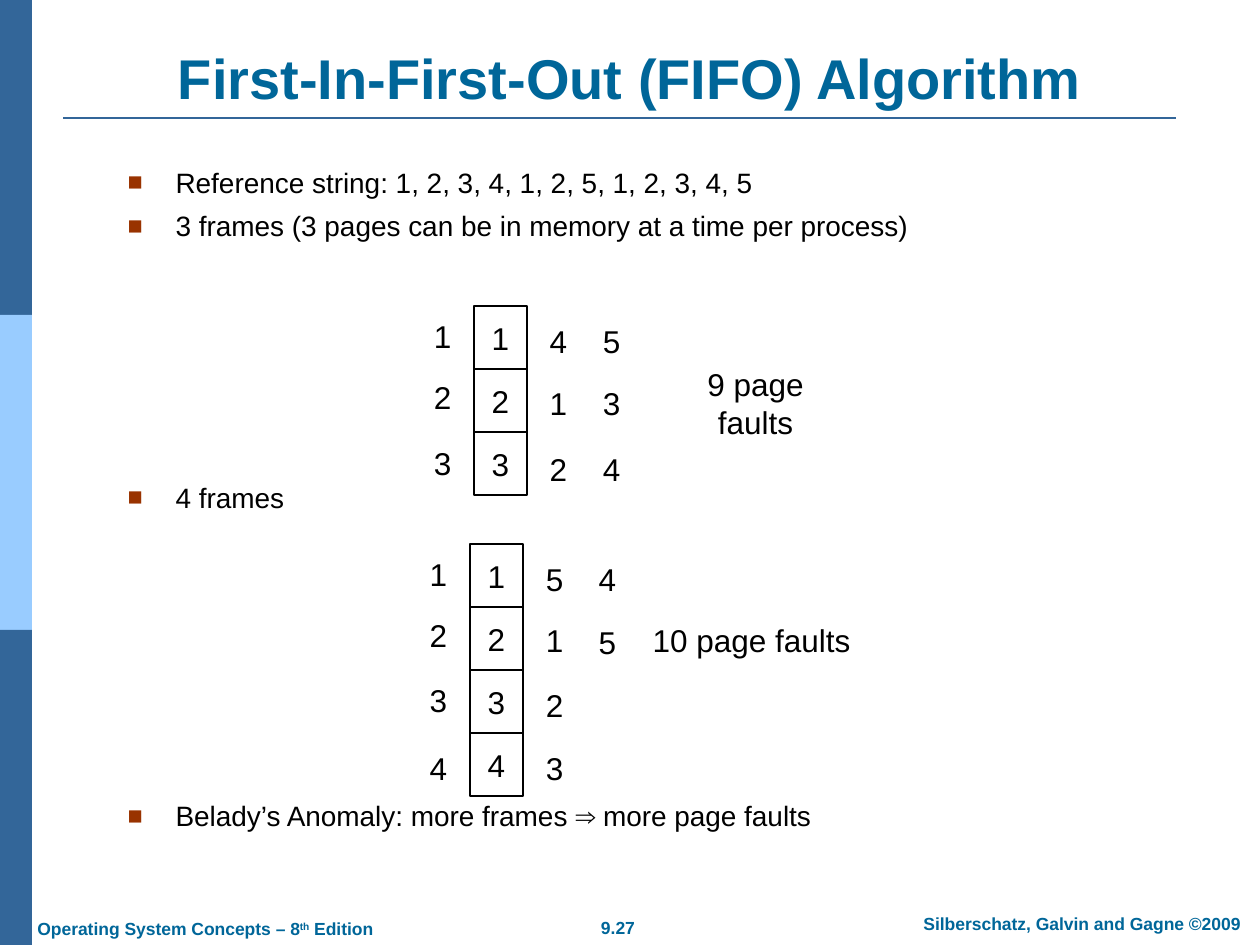
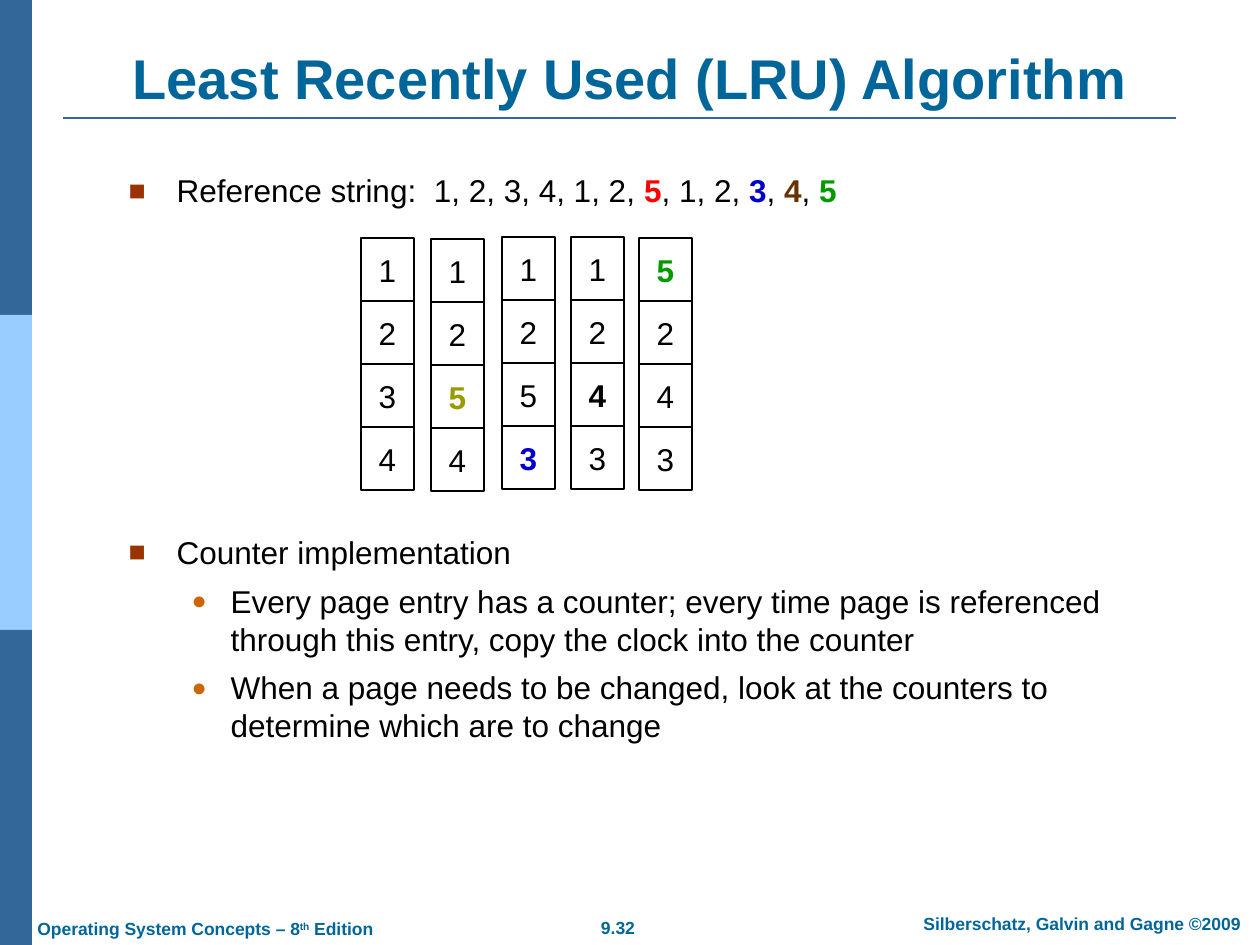
from lxml.etree import SubElement
from pptx import Presentation
from pptx.dml.color import RGBColor
from pptx.enum.shapes import MSO_CONNECTOR, MSO_SHAPE
from pptx.enum.text import MSO_ANCHOR, MSO_AUTO_SIZE, PP_ALIGN
from pptx.oxml.ns import qn
from pptx.util import Emu, Pt

FONT = "Arial"
BLACK = RGBColor(0x00, 0x00, 0x00)
WHITE = RGBColor(0xFF, 0xFF, 0xFF)
STEEL = RGBColor(0x33, 0x66, 0x99)
SKY = RGBColor(0x99, 0xCC, 0xFF)
TEAL = RGBColor(0x00, 0x66, 0x99)
RUST = RGBColor(0x99, 0x33, 0x00)
AMBER = RGBColor(0xCC, 0x66, 0x00)
RED = RGBColor(0xFF, 0x00, 0x00)
BLUE = RGBColor(0x00, 0x00, 0xCC)
BROWN = RGBColor(0x66, 0x33, 0x00)
GREEN = RGBColor(0x00, 0x99, 0x00)
OLIVE = RGBColor(0x99, 0x99, 0x00)

WIDTH, HEIGHT = 1260, 945
CELL_W, CELL_H = 53, 63
NOTE_W, NOTE_H = 43, 50
LEADING = 1.2

# Bullet styles by level: sign, colour, size in percent, left margin, hanging
BULLETS = [("■", RUST, 90, 48, 48), ("●", AMBER, 80, 102, 39)]


def px(n):
    return Emu(round(n * 914400 / 126))


def place(shape, left, top, width, height):
    shape.left, shape.top = px(left), px(top)
    shape.width, shape.height = px(width), px(height)


# Text
def write(para, text, size=18, color=BLACK, bold=False, align=PP_ALIGN.LEFT,
          before=0):
    """Fill a paragraph; text is a string or a list of (string, format) runs."""
    para.alignment = align
    para.line_spacing = Pt(size * LEADING)
    para.space_before = px(before)
    runs = [(text, {})] if isinstance(text, str) else text
    for words, look in runs:
        run = para.add_run()
        run.text = words
        font = run.font
        font.name, font.size = FONT, Pt(size)
        font.bold = look.get("bold", bold)
        font.color.rgb = look.get("color", color)
        if look.get("raised"):
            run._r.get_or_add_rPr().set("baseline", "30000")


def mark(para, level):
    """Give a paragraph the bullet and indent of its level."""
    sign, color, size, margin, hang = BULLETS[level]
    para.level = level
    props = para._p.get_or_add_pPr()
    props.set("marL", str(px(margin)))
    props.set("indent", str(-px(hang)))
    tint = SubElement(props, qn("a:buClr"))
    SubElement(tint, qn("a:srgbClr")).set("val", str(color))
    SubElement(props, qn("a:buSzPct")).set("val", str(size * 1000))
    SubElement(props, qn("a:buFont")).set("typeface", FONT)
    SubElement(props, qn("a:buChar")).set("char", sign)


def label(slide, text, left, top, width, height=NOTE_H, anchor=MSO_ANCHOR.MIDDLE,
          align=PP_ALIGN.CENTER, **look):
    box = slide.shapes.add_textbox(px(left), px(top), px(width), px(height))
    frame = box.text_frame
    frame.word_wrap = False
    frame.vertical_anchor = anchor
    write(frame.paragraphs[0], text, align=align, **look)


def list_body(slide, area, items, size):
    """Items are (text, level, space before)."""
    body = slide.placeholders[1]
    place(body, *area)
    frame = body.text_frame
    frame.auto_size = MSO_AUTO_SIZE.NONE
    for i, (text, level, before) in enumerate(items):
        para = frame.add_paragraph() if i else frame.paragraphs[0]
        mark(para, level)
        write(para, text, size=size, before=before)


# Shapes
def box(slide, left, top, width, height, fill, line=None):
    shape = slide.shapes.add_shape(
        MSO_SHAPE.RECTANGLE, px(left), px(top), px(width), px(height))
    shape.shadow.inherit = False
    shape.fill.solid()
    shape.fill.fore_color.rgb = fill
    if line is None:
        shape.line.fill.background()
    else:
        shape.line.color.rgb = line
        shape.line.width = Pt(0.75)
    return shape


def stack(slide, left, top, pages):
    """A column of memory frames; a page is a digit or (digit, format)."""
    for row, page in enumerate(pages):
        cell = box(slide, left, top + row * CELL_H, CELL_W, CELL_H, WHITE, BLACK)
        frame = cell.text_frame
        frame.word_wrap = False
        frame.vertical_anchor = MSO_ANCHOR.MIDDLE
        digit, look = (page, {}) if isinstance(page, str) else page
        write(frame.paragraphs[0], digit, align=PP_ALIGN.CENTER, **look)


def notes(slide, left, tops, digits):
    """Loose digits beside a stack."""
    for top, digit in zip(tops, digits):
        label(slide, digit, left, top, NOTE_W)


# Shared slide furniture
def new_slide(deck, title, number):
    slide = deck.slides.add_slide(deck.slide_layouts[1])
    for i, color in enumerate((STEEL, SKY, STEEL)):
        box(slide, 0, i * HEIGHT // 3, 32, HEIGHT // 3, color)
    rule = slide.shapes.add_connector(
        MSO_CONNECTOR.STRAIGHT, px(63), px(118), px(1176), px(118))
    rule.line.color.rgb = STEEL
    rule.line.width = Pt(1.5)
    SubElement(rule._element.spPr, qn("a:effectLst"))

    foot = dict(height=34, anchor=MSO_ANCHOR.TOP, size=10, color=TEAL, bold=True)
    label(slide, number, 587, 911, 62, **foot)
    label(slide, "Silberschatz, Galvin and Gagne ©2009", 895, 907, 374, **foot)
    book = [("Operating System Concepts – 8", {}), ("th", {"raised": True}),
            (" Edition", {})]
    label(slide, book, 25, 912, 363, align=PP_ALIGN.LEFT, **foot)

    head = slide.shapes.title
    place(head, 63, 38, 1134, 79)
    head.text_frame.auto_size = MSO_AUTO_SIZE.NONE
    head.text_frame.vertical_anchor = MSO_ANCHOR.BOTTOM
    write(head.text_frame.paragraphs[0], title, size=32, color=TEAL, bold=True,
          align=PP_ALIGN.CENTER)
    return slide


def fifo(deck):
    slide = new_slide(deck, "First-In-First-Out (FIFO) Algorithm", "9.27")
    list_body(slide, (115, 159, 969, 786), [
        ("Reference string: 1, 2, 3, 4, 1, 2, 5, 1, 2, 3, 4, 5", 0, 0),
        ("3 frames (3 pages can be in memory at a time per process)", 0, 10),
        ("4 frames", 0, 238),
        ("Belady’s Anomaly: more frames ⇒ more page faults", 0, 285),
    ], size=16)

    # Three frames
    stack(slide, 474, 306, "123")
    notes(slide, 421, (311, 372, 438), "123")
    for left, digits in ((537, "412"), (590, "534")):
        notes(slide, left, (316, 378, 444), digits)
    label(slide, "9 page faults", 653, 378, 205)

    # Four frames
    stack(slide, 470, 544, "1234")
    notes(slide, 417, (549, 610, 675, 743), "1234")
    notes(slide, 533, (554, 615, 680, 743), "5123")
    notes(slide, 586, (554, 617), "45")
    label(slide, "10 page faults", 640, 615, 223)


def lru(deck):
    slide = new_slide(deck, "Least Recently Used (LRU) Algorithm", "9.32")
    red, blue, brown, green, olive = (
        dict(color=c, bold=True) for c in (RED, BLUE, BROWN, GREEN, OLIVE))
    string = [("Reference string:  1, 2, 3, 4, 1, 2, ", {}), ("5", red),
              (", 1, 2, ", {}), ("3", blue), (", ", {}), ("4", brown),
              (", ", {}), ("5", green)]
    list_body(slide, (116, 165, 1013, 617), [
        (string, 0, 0),
        ("Counter implementation", 0, 324),
        ("Every page entry has a counter; every time page is referenced "
         "through this entry, copy the clock into the counter", 1, 11),
        ("When a page needs to be changed, look at the counters to "
         "determine which are to change", 1, 11),
    ], size=18)

    # Memory after each change
    for left, top, pages in (
            (361, 238, "1234"),
            (431, 239, ("1", "2", ("5", olive), "4")),
            (502, 237, ("1", "2", "5", ("3", blue))),
            (571, 237, ("1", "2", ("4", dict(bold=True)), "3")),
            (639, 238, (("5", green), "2", "4", "3"))):
        stack(slide, left, top, pages)


def main():
    deck = Presentation()
    deck.slide_width, deck.slide_height = px(WIDTH), px(HEIGHT)
    fifo(deck)
    lru(deck)
    deck.save("out.pptx")


if __name__ == "__main__":
    main()
